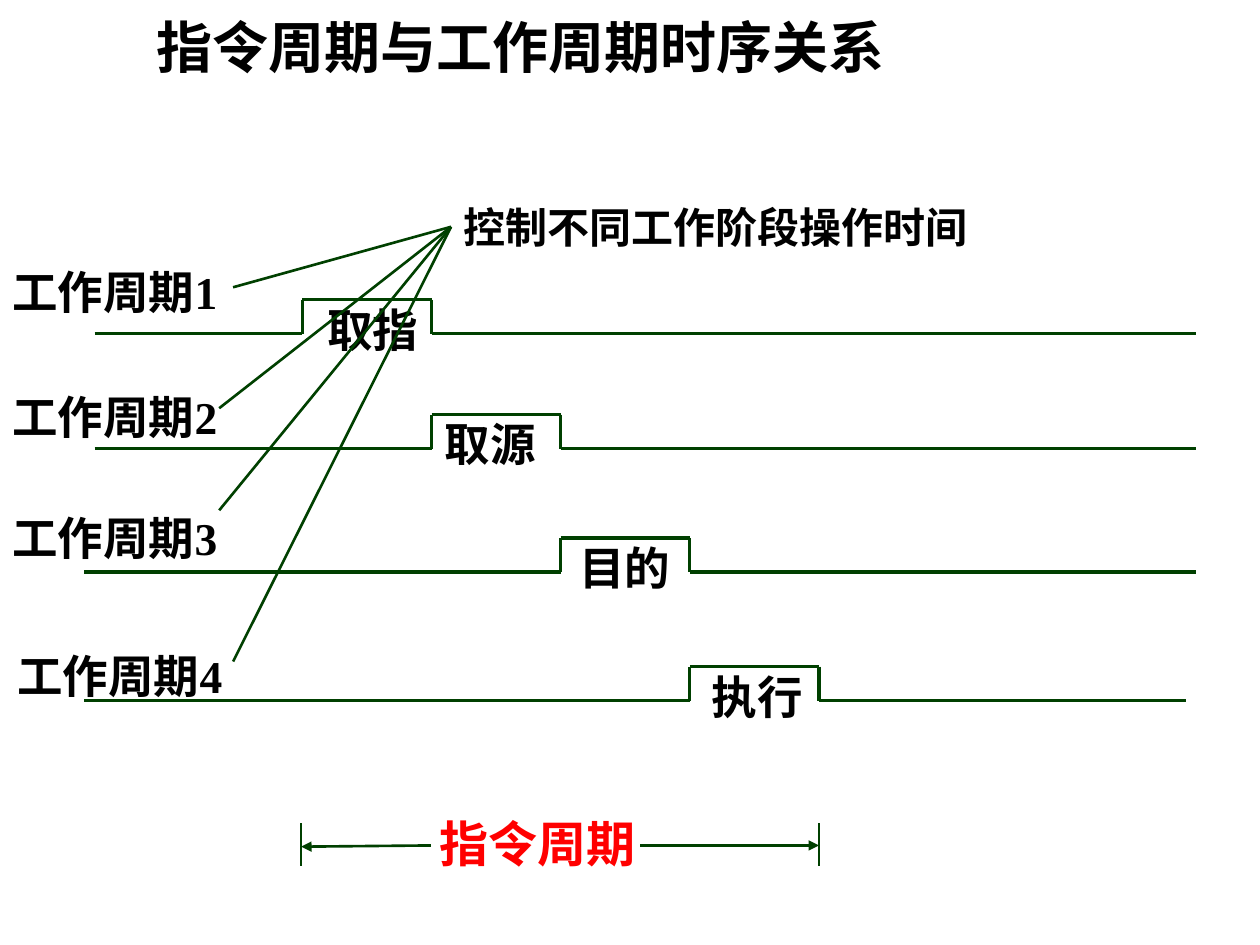
from lxml import etree
from pptx import Presentation
from pptx.dml.color import RGBColor
from pptx.enum.shapes import MSO_CONNECTOR
from pptx.enum.text import MSO_AUTO_SIZE
from pptx.oxml.ns import qn
from pptx.util import Inches, Pt

STRAIGHT = MSO_CONNECTOR.STRAIGHT
FIT_SHAPE = MSO_AUTO_SIZE.SHAPE_TO_FIT_TEXT
COLORS = {"line": "004000", "text": "000000", "accent": "FF0000"}
SERIF, SANS = "Times New Roman", "Noto Sans CJK SC"

PULSE_START, PULSE_END = 2.4, 6.5
PULSE_HEIGHT = 0.27

# cycle label, its box; stage name, its box; baseline left, right and height
CYCLES = [
    ("工作周期1", (0, 2.05, 2.12, 0.53), "取指", (2.5, 2.35, 1.5, 0.53), (0.75, 9.49, 2.65)),
    ("工作周期2", (0, 3.04, 2.83, 0.53), "取源", (3.43, 3.25, 1.05, 0.53), (0.75, 9.49, 3.56)),
    ("工作周期3", (0, 4, 2.83, 0.53), "目的", (4.5, 4.24, 1.05, 0.53), (0.67, 9.49, 4.54)),
    ("工作周期4", (0.04, 5.09, 2.83, 0.53), "执行", (5.55, 5.26, 1, 0.53), (0.67, 9.41, 5.56)),
]
POINTER_ENDS = [(1.74, 4.05), (1.85, 5.25), (1.85, 2.28), (1.74, 3.24)]


def add_text(shapes, text, area, size, color="text", font=SERIF, wrap=True):
    box = shapes.add_textbox(*(Inches(length) for length in area))
    frame = box.text_frame
    frame.word_wrap = wrap
    frame.auto_size = FIT_SHAPE
    span = frame.paragraphs[0].add_run()
    span.text = text
    span.font.size = Pt(size)
    span.font.bold = True
    span.font.color.rgb = RGBColor.from_string(COLORS[color])
    span.font.name = font
    east_asian = etree.SubElement(span.font._element, qn("a:ea"))
    east_asian.set("typeface", SANS)


def add_line(shapes, start, end, width, arrow=False):
    """Draw a line, with an arrowhead at its end if asked."""
    line = shapes.add_connector(STRAIGHT, *(Inches(length) for length in (*start, *end)))
    line.line.width = Pt(width)
    line.line.color.rgb = RGBColor.from_string(COLORS["line"])
    if arrow:
        etree.SubElement(line.line._get_or_add_ln(), qn("a:tailEnd"), type="triangle")
    etree.SubElement(line._element.spPr, qn("a:effectLst"))


def add_instruction_span(page, left, right, top, bottom):
    """Mark the whole instruction cycle between two end bars."""
    shapes = page.shapes.add_group_shape().shapes
    add_text(shapes, "指令周期", (left + 1, top - 0.12, 2.17, 0.57), 28, "accent")
    for x in (left, right):
        add_line(shapes, (x, bottom), (x, top), 1.5)
    middle = top + 0.18
    add_line(shapes, (5.08, middle), (right, middle), 1.5, arrow=True)
    add_line(shapes, (3.42, middle), (left, middle + 0.01), 1.5, arrow=True)


def add_cycle(page, index, label, label_area, stage, stage_area, baseline):
    """Draw one timing row whose pulse follows that of the row before."""
    shapes = page.shapes.add_group_shape().shapes
    add_text(shapes, stage, stage_area, 26)
    add_text(shapes, label, label_area, 26)
    left, right, low = baseline
    high = low - PULSE_HEIGHT
    step = (PULSE_END - PULSE_START) / len(CYCLES)
    rise = PULSE_START + index * step
    fall = rise + step
    points = [(left, low), (rise, low), (rise, high), (fall, high), (fall, low), (right, low)]
    for start, end in zip(points, points[1:]):
        add_line(shapes, start, end, 1.75)


def add_callout(page, x, y):
    """Place the note with its pointers fanning out from (x, y)."""
    shapes = page.shapes.add_group_shape().shapes
    add_text(shapes, "控制不同工作阶段操作时间", (x, y - 0.25, 4.33, 0.5), 24)
    for end in POINTER_ENDS:
        add_line(shapes, (x, y), end, 1.5)


def main():
    deck = Presentation()
    deck.slide_width, deck.slide_height = Inches(10), Inches(7.5)
    page = deck.slides.add_slide(deck.slide_layouts[6])
    add_instruction_span(page, 2.39, PULSE_END, 6.53, 6.87)
    add_text(page.shapes, "指令周期与工作周期时序关系", (1.14, 0.05, 6.06, 0.64), 32,
             font=SANS, wrap=False)
    for index, cycle in enumerate(CYCLES):
        add_cycle(page, index, *cycle)
    add_callout(page, 3.58, 1.8)
    deck.save("out.pptx")


if __name__ == "__main__":
    main()
